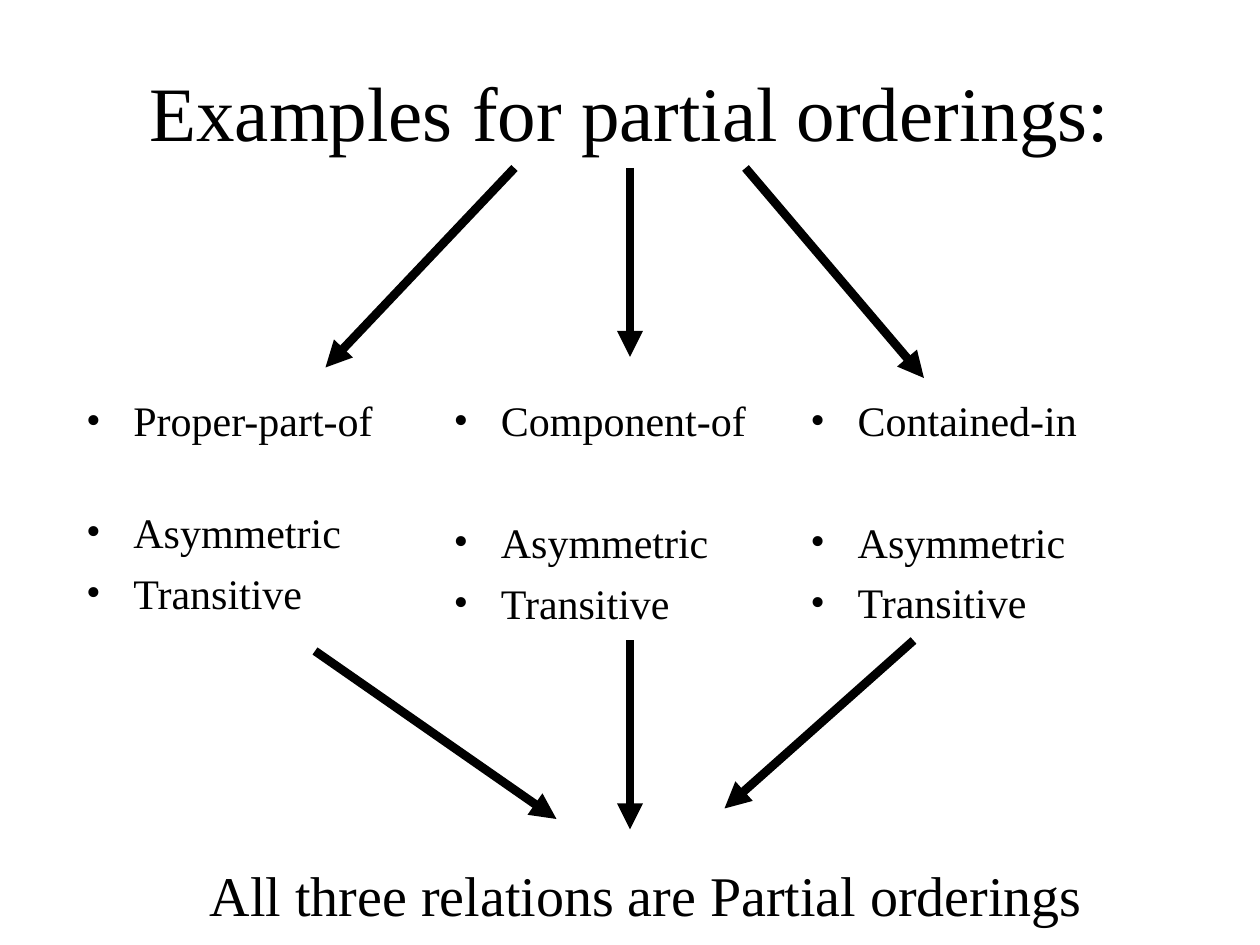
import pptx
import pptx.dml.color
import pptx.enum.shapes
import pptx.enum.text
import pptx.oxml.ns
import pptx.util
from lxml import etree

Pt = pptx.util.Pt
ANCHOR = pptx.enum.text.MSO_ANCHOR
ALIGN = pptx.enum.text.PP_ALIGN
FIT = pptx.enum.text.MSO_AUTO_SIZE

FONT = "Times New Roman"
BLACK = "000000"
INDENT = 27

TITLE = "Examples for partial orderings:"
CONCLUSION = "All three relations are Partial orderings"
PROPERTIES = ["Asymmetric", "Transitive"]
RELATIONS = [
    {"name": "Proper-part-of", "frame": (42, 222, 216, 162), "gap": 35},
    {"name": "Component-of", "frame": (252, 222, 198, 204), "gap": 40.5},
    {"name": "Contained-in", "frame": (456, 222, 198, 204), "gap": 40.5},
]
ARROWS = [
    ((294, 96), (186, 210)),
    ((360, 96), (360, 204)),
    ((426, 96), (528, 216)),
    ((180, 372), (318, 468)),
    ((360, 366), (360, 474)),
    ((522, 366), (414, 462)),
]


def color(value):
    return pptx.dml.color.RGBColor.from_string(value)


def add_element(parent, tag, **attributes):
    return etree.SubElement(parent, pptx.oxml.ns.qn(tag), attributes)


def place(box, frame):
    box.left, box.top, box.width, box.height = map(Pt, frame)


def add_bullet(para):
    properties = para._p.get_or_add_pPr()
    properties.set("marL", str(Pt(INDENT)))
    properties.set("indent", str(-Pt(INDENT)))
    add_element(add_element(properties, "a:buClr"), "a:srgbClr", val=BLACK)
    add_element(properties, "a:buFont", typeface=FONT)
    add_element(properties, "a:buChar", char="•")


def write(para, text, size=24, align=ALIGN.LEFT, before=0, bullet=False):
    if bullet:
        add_bullet(para)
    para.alignment = align
    para.space_before = Pt(before)
    span = para.add_run()
    span.text = text
    span.font.name = FONT
    span.font.size = Pt(size)
    span.font.color.rgb = color(BLACK)


def fill_relation(box, relation):
    place(box, relation["frame"])
    frame = box.text_frame
    frame.word_wrap = True
    frame.auto_size = FIT.NONE
    frame.vertical_anchor = ANCHOR.TOP
    lines = [relation["name"], *PROPERTIES]
    for index, (text, before) in enumerate(zip(lines, (0, relation["gap"], 6))):
        para = frame.add_paragraph() if index else frame.paragraphs[0]
        write(para, text, before=before, bullet=True)


def add_arrow(page, start, end):
    arrow = page.shapes.add_connector(
        pptx.enum.shapes.MSO_CONNECTOR.STRAIGHT, *map(Pt, start + end))
    arrow.line.color.rgb = color(BLACK)
    arrow.line.width = Pt(5)
    add_element(arrow.line._get_or_add_ln(), "a:tailEnd", type="triangle")
    add_element(arrow._element.spPr, "a:effectLst")


def main():
    deck = pptx.Presentation()
    deck.slide_width, deck.slide_height = Pt(720), Pt(540)
    page = deck.slides.add_slide(deck.slide_layouts.get_by_name("Two Content"))

    title = page.shapes.title
    place(title, (54, 18, 612, 90))
    title.text_frame.auto_size = FIT.NONE
    title.text_frame.vertical_anchor = ANCHOR.MIDDLE
    write(title.text_frame.paragraphs[0], TITLE, size=44, align=ALIGN.CENTER)

    third = page.shapes.add_textbox(*map(Pt, RELATIONS[2]["frame"]))
    boxes = [page.placeholders[1], page.placeholders[2], third]
    for box, relation in zip(boxes, RELATIONS):
        fill_relation(box, relation)

    for start, end in ARROWS:
        add_arrow(page, start, end)

    conclusion = page.shapes.add_textbox(*map(Pt, (105, 488, 529, 46)))
    conclusion.text_frame.word_wrap = False
    conclusion.text_frame.auto_size = FIT.NONE
    write(conclusion.text_frame.paragraphs[0], CONCLUSION, size=32, align=ALIGN.CENTER)

    deck.save("out.pptx")


if __name__ == "__main__":
    main()
